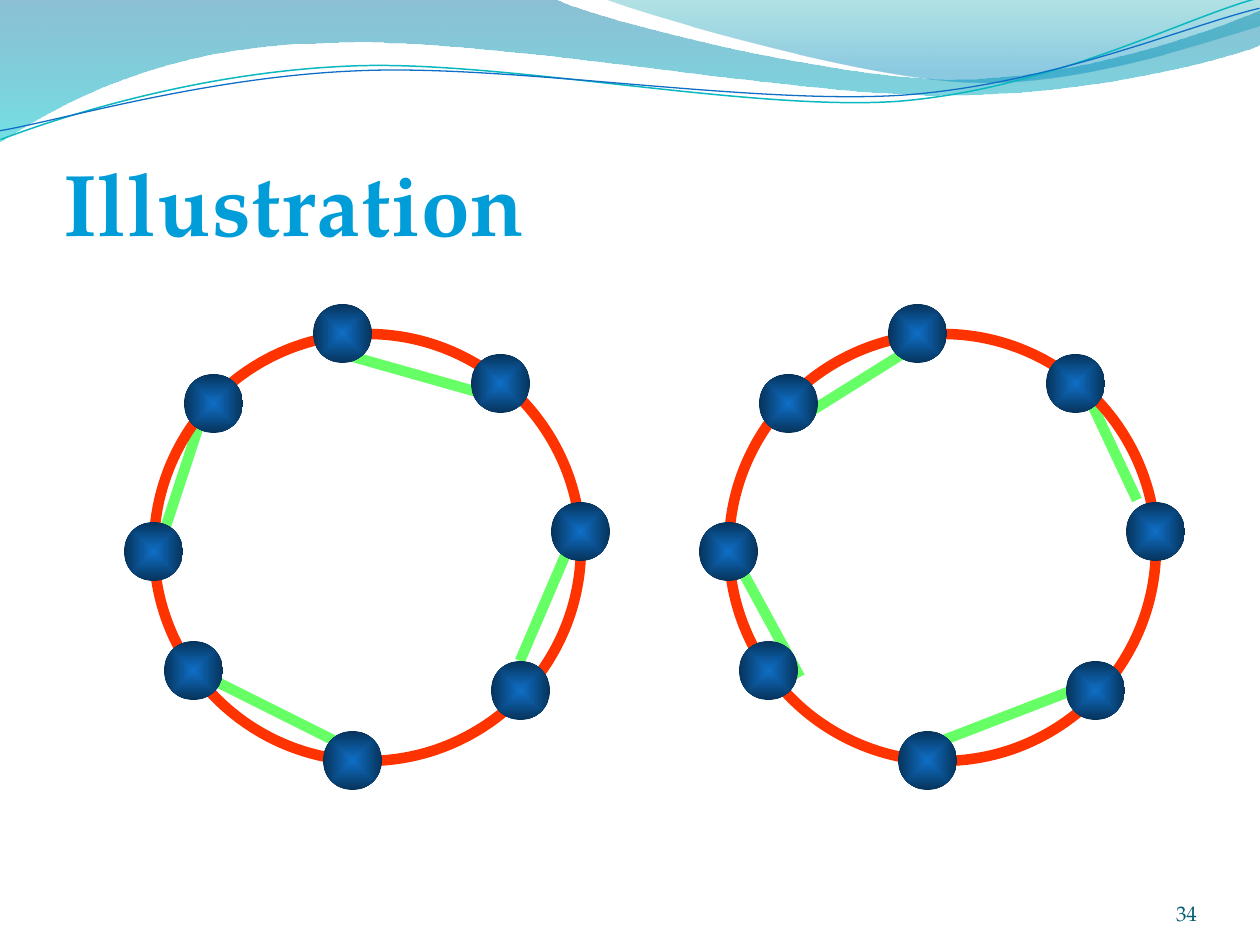
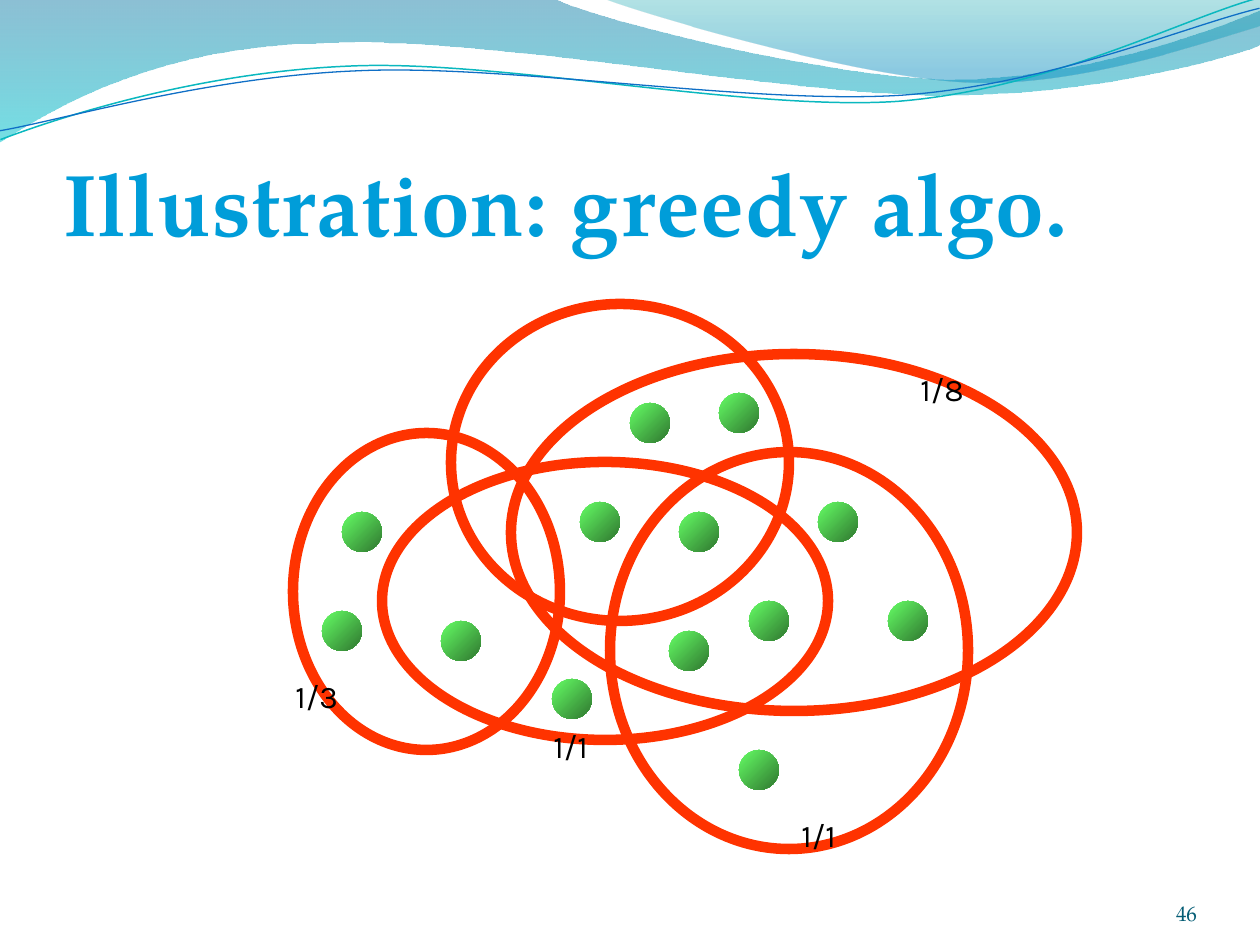
from dataclasses import dataclass

from lxml import etree
from pptx import Presentation
from pptx.dml.color import RGBColor
from pptx.enum.shapes import MSO_CONNECTOR, MSO_SHAPE
from pptx.enum.text import MSO_ANCHOR, MSO_AUTO_SIZE, PP_ALIGN
from pptx.oxml import parse_xml
from pptx.oxml.ns import nsdecls, qn
from pptx.util import Inches, Pt

ELLIPSE = MSO_SHAPE.OVAL
STRAIGHT = MSO_CONNECTOR.STRAIGHT
BOTTOM = MSO_ANCHOR.BOTTOM
LEFT, RIGHT = PP_ALIGN.LEFT, PP_ALIGN.RIGHT
NO_FIT, GROW = MSO_AUTO_SIZE.NONE, MSO_AUTO_SIZE.SHAPE_TO_FIT_TEXT

PX_PER_INCH = 126
TITLE_ONLY = 5


@dataclass(frozen=True)
class Theme:
    serif: str = "TeX Gyre Pagella"
    sans: str = "Karla"
    title_size: int = 50
    number_size: int = 12
    label_size: int = 18
    outline: str = "FF3300"
    link: str = "66FF66"
    number: str = "045D75"
    label: str = "000000"
    stroke: int = 6
    # gradient stops: position %, colour, then an optional modifier and its %
    title_stops: tuple = ((25, "009DD9"), (100, "006F99"))
    node_stops: tuple = ((0, "0F6FC6"), (100, "0F6FC6", "shade", 46.28))
    element_stops: tuple = ((0, "66FF66"), (100, "66FF66", "shade", 46.28))


THEME = Theme()

# Outlines: a pair is a straight step, six numbers are a Bézier step.
WAVE_BANDS = [
    ([(0, 0), (554, -1), (600, 21, 837, 79, 955, 79), (1075, 79, 1207, 33, 1260, 11),
      (1261, 45), (1239, 55, 1096, 96, 940, 95), (784, 95, 481, 35, 324, 43),
      (163, 45, 58, 105, -1, 142)],
     ((0, "0074A1", "alpha", 45), (100, "00C6CF", "alpha", 55))),
    ([(604, -1), (641, 14, 859, 78, 969, 82), (1079, 87, 1211, 40, 1260, 26), (1260, 0)],
     ((0, "00A1A9", "alpha", 30), (80, "008BBF", "alpha", 45))),
]
WAVE_TILT = 357.3
WAVE_LINES = [
    ([(-2, 110), (59, 90, 199, 52, 350, 53), (499, 53, 745, 117, 896, 114),
      (1049, 109, 1184, 45, 1260, 28)], "0AB8BF", 0.85),
    ([(-2, 101), (57, 94, 207, 57, 357, 58), (509, 58, 750, 111, 902, 108),
      (1052, 104, 1188, 52, 1262, 38)], "0F6FC6", 0.75),
]

TITLE_BOX = (63, 96, 1134, 158)
NUMBER_BOX = (1092, 876, 105, 50)

CYCLE_TITLE, CYCLE_NUMBER = "Illustration", "34"
CYCLE_BOX = (154, 334, 427, 427)
NODE_SIZE = 59
NODES = [(313, 304), (471, 354), (551, 502), (491, 661),
         (323, 731), (164, 641), (124, 522), (184, 374)]
# One matching per cycle, with the cycle's shift to the right
MATCHINGS = [
    (0, [(343, 354, 481, 393), (571, 542, 520, 661),
         (213, 680, 353, 750), (203, 413, 164, 532)]),
    (575, [(214, 425, 337, 348), (507, 383, 562, 500),
           (369, 740, 514, 684), (165, 567, 225, 677)]),
]

COVER_TITLE, COVER_NUMBER = "Illustration: greedy algo.", "46"
SETS = [(293, 433, 267, 317), (382, 462, 446, 278), (451, 304, 338, 317),
        (610, 452, 358, 397)]
LARGEST_SET = (511, 354, 566, 357)
ELEMENT_SIZE = 40
ELEMENTS = [(342, 512), (441, 621), (669, 631), (580, 502), (630, 403), (679, 512),
            (818, 502), (888, 601), (749, 601), (719, 393), (739, 750)]
LATER_ELEMENTS = [(552, 679), (322, 611)]
COSTS = [("1/3", 283, 671), ("1/8", 908, 364), ("1/1", 541, 721), ("1/1", 789, 810)]
COST_SIZE = (72, 50)


def emu(*lengths):
    return [Inches(length / PX_PER_INCH) for length in lengths]


def set_gradient(owner, stops, direction):
    """Replace the empty fill of a spPr or rPr by a gradient."""
    gradient = parse_xml(f'<a:gradFill {nsdecls("a")} rotWithShape="1"><a:gsLst/></a:gradFill>')
    for position, color, *modifier in stops:
        stop = etree.SubElement(gradient[0], qn("a:gs"), pos=str(position * 1000))
        tint = etree.SubElement(stop, qn("a:srgbClr"), val=color)
        if modifier:
            kind, percent = modifier
            if kind == "shade":
                etree.SubElement(tint, qn("a:gamma"))
            etree.SubElement(tint, qn(f"a:{kind}"), val=str(round(percent * 1000)))
            if kind == "shade":
                etree.SubElement(tint, qn("a:invGamma"))
    if direction == "center":
        shading = etree.SubElement(gradient, qn("a:path"))
        shading.set("path", "shape")
        etree.SubElement(shading, qn("a:fillToRect"), l="50000", t="50000", r="50000", b="50000")
    else:
        etree.SubElement(gradient, qn("a:lin"), ang=str(direction * 60000), scaled="0")
    owner.replace(owner.find(qn("a:noFill")), gradient)


def style(shape, stops=None, direction=0, stroke=None, width=0):
    shape.shadow.inherit = False
    shape.fill.background()
    if stops:
        set_gradient(shape.element.spPr, stops, direction)
    if stroke:
        shape.line.color.rgb = RGBColor.from_string(stroke)
        shape.line.width = Pt(width)
    else:
        shape.line.fill.background()


def add_outline(slide, outline, close):
    """Build a freeform, then merge each three control points into one curve."""
    start, *steps = outline
    corners = [emu(*step[i:i + 2]) for step in steps for i in range(0, len(step), 2)]
    builder = slide.shapes.build_freeform(*emu(*start))
    builder.add_line_segments(corners, close=close)
    shape = builder.convert_to_shape()
    segments = iter(list(shape.element.iter(qn("a:lnTo"))))
    for step in steps:
        segment = next(segments)
        if len(step) == 6:
            curve = etree.Element(qn("a:cubicBezTo"))
            segment.addprevious(curve)
            for control in (segment, next(segments), next(segments)):
                curve.append(control[0])
                control.getparent().remove(control)
    return shape


def add_waves(slide):
    """Draw the waves and move them to the layout, behind its placeholders."""
    waves = []
    for outline, stops in WAVE_BANDS:
        waves.append(add_outline(slide, outline, True))
        style(waves[-1], stops, 90)
    for outline, color, width in WAVE_LINES:
        waves.append(add_outline(slide, outline, False))
        waves[-1].rotation = WAVE_TILT
        style(waves[-1], stroke=color, width=width)
    tree = slide.slide_layout.shapes.element
    for depth, wave in enumerate(waves, start=2):
        tree.insert(depth, wave.element)


def add_ellipse(slide, box, **look):
    style(slide.shapes.add_shape(ELLIPSE, *emu(*box)), **look)


def add_ring(slide, box):
    add_ellipse(slide, box, stroke=THEME.outline, width=THEME.stroke)


def add_link(slide, ends):
    link = slide.shapes.add_connector(STRAIGHT, *emu(*ends))
    link.line.color.rgb = RGBColor.from_string(THEME.link)
    link.line.width = Pt(THEME.stroke)
    etree.SubElement(link.element.spPr, qn("a:effectLst"))


def write(frame, words, font, size, color=None, align=LEFT):
    paragraph = frame.paragraphs[0]
    paragraph.alignment = align
    run = paragraph.add_run()
    run.text = words
    run.font.name, run.font.size = font, Pt(size)
    if color:
        run.font.color.rgb = RGBColor.from_string(color)
    return run


def anchor_bottom(frame, top_inset=0):
    frame.margin_left = frame.margin_right = frame.margin_bottom = 0
    frame.margin_top = Inches(top_inset)
    frame.vertical_anchor = BOTTOM
    frame.auto_size = NO_FIT
    frame.word_wrap = True


def add_slide(prs, heading, number):
    slide = prs.slides.add_slide(prs.slide_layouts[TITLE_ONLY])
    title = slide.shapes.title
    title.left, title.top, title.width, title.height = emu(*TITLE_BOX)
    anchor_bottom(title.text_frame, 0.05)
    run = write(title.text_frame, heading, THEME.serif, THEME.title_size)
    run.font.bold = True
    run.font.fill.background()
    properties = next(title.element.iter(qn("a:rPr")))
    properties.set("spc", "50")
    set_gradient(properties, THEME.title_stops, 90)

    page = slide.shapes.add_textbox(*emu(*NUMBER_BOX)).text_frame
    anchor_bottom(page)
    write(page, number, THEME.serif, THEME.number_size, THEME.number, RIGHT)
    return slide


def draw_cycles(slide):
    left, top, width, height = CYCLE_BOX
    for shift, links in MATCHINGS:
        for x1, y1, x2, y2 in links:
            add_link(slide, (x1 + shift, y1, x2 + shift, y2))
        add_ring(slide, (left + shift, top, width, height))
        for x, y in NODES:
            add_ellipse(slide, (x + shift, y, NODE_SIZE, NODE_SIZE),
                        stops=THEME.node_stops, direction="center")


def add_elements(slide, corners):
    for x, y in corners:
        add_ellipse(slide, (x, y, ELEMENT_SIZE, ELEMENT_SIZE),
                    stops=THEME.element_stops, direction=45)


def draw_set_cover(slide):
    for box in SETS:
        add_ring(slide, box)
    add_elements(slide, ELEMENTS)
    add_ring(slide, LARGEST_SET)
    add_elements(slide, LATER_ELEMENTS)
    for cost, x, y in COSTS:
        frame = slide.shapes.add_textbox(*emu(x, y, *COST_SIZE)).text_frame
        frame.word_wrap = False
        frame.auto_size = GROW
        write(frame, cost, THEME.sans, THEME.label_size, THEME.label)


def main():
    prs = Presentation()
    prs.slide_width, prs.slide_height = Inches(10), Inches(7.5)
    cycles = add_slide(prs, CYCLE_TITLE, CYCLE_NUMBER)
    add_waves(cycles)
    draw_cycles(cycles)
    draw_set_cover(add_slide(prs, COVER_TITLE, COVER_NUMBER))
    prs.save("out.pptx")


if __name__ == "__main__":
    main()
